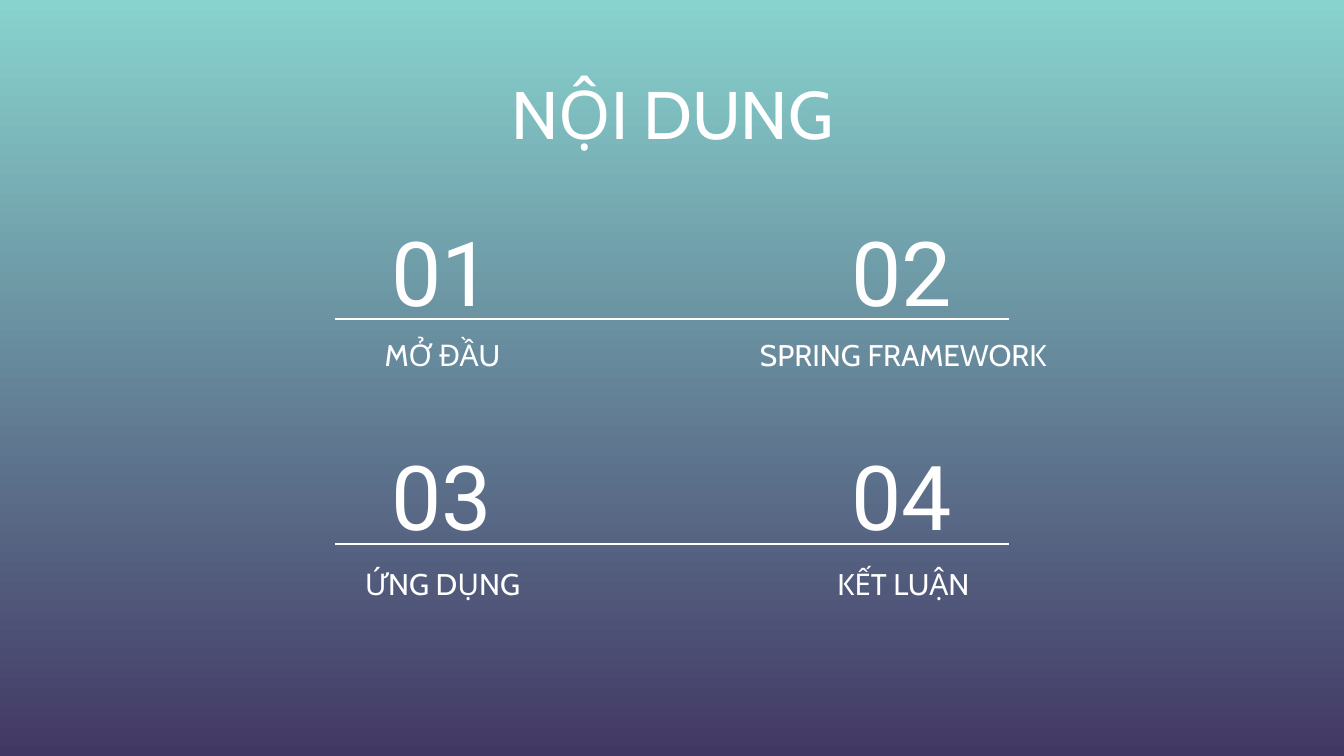
from pptx import Presentation
from pptx.dml.color import RGBColor
from pptx.enum.shapes import MSO_CONNECTOR
from pptx.enum.text import MSO_ANCHOR, PP_ALIGN
from pptx.oxml.ns import qn
from pptx.util import Pt
from lxml import etree

PX = 914400 / 134.4
WHITE = RGBColor(0xFF, 0xFF, 0xFF)
TEAL = RGBColor(0x88, 0xD3, 0xCE)
PURPLE = RGBColor(0x42, 0x38, 0x64)

TITLE = {"name": "Cabin", "size": Pt(36)}
NUMBER = {"name": "Roboto", "size": Pt(48)}
LABEL = {"name": "Cabin", "size": Pt(16)}


def emu(*lengths):
    return [round(n * PX) for n in lengths]


def add_text(s, box, text, font, anchor):
    tf = s.shapes.add_textbox(*emu(*box)).text_frame
    tf.word_wrap = True
    tf.vertical_anchor = anchor
    for side in ("left", "top", "right", "bottom"):
        setattr(tf, f"margin_{side}", Pt(7.2))
    p = tf.paragraphs[0]
    p.alignment = PP_ALIGN.CENTER
    r = p.add_run()
    r.text = text
    for key, value in font.items():
        setattr(r.font, key, value)
    r.font.color.rgb = WHITE


prs = Presentation()
prs.slide_width, prs.slide_height = emu(1344, 756)
s = prs.slides.add_slide(prs.slide_layouts[6])

fill = s.background.fill
fill.gradient()
fill.gradient_angle = 270
for stop, color in zip(fill.gradient_stops, (TEAL, PURPLE)):
    stop.color.rgb = color

add_text(s, (165, 59, 1015, 138), "NỘI DUNG", TITLE, MSO_ANCHOR.TOP)

# Each row: number top, line height, label top, entries
rows = [
    (228, 319, 301, [("01", "MỞ ĐẦU"), ("02", "SPRING FRAMEWORK")]),
    (452, 544, 530, [("03", "ỨNG DỤNG"), ("04", "KẾT LUẬN")]),
]
columns = [(313, 249), (773, 710)]

for number_y, line_y, label_y, entries in rows:
    for (number_x, label_x), (number, label) in zip(columns, entries):
        add_text(s, (number_x, number_y, 258, 85), number, NUMBER, MSO_ANCHOR.MIDDLE)
        add_text(s, (label_x, label_y, 387, 85), label, LABEL, MSO_ANCHOR.BOTTOM)
    line = s.shapes.add_connector(
        MSO_CONNECTOR.STRAIGHT, *emu(335, line_y, 1009, line_y))
    line.line.color.rgb = WHITE
    line.line.width = Pt(1.5)
    etree.SubElement(line._element.spPr, qn("a:effectLst"))

prs.save("out.pptx")
